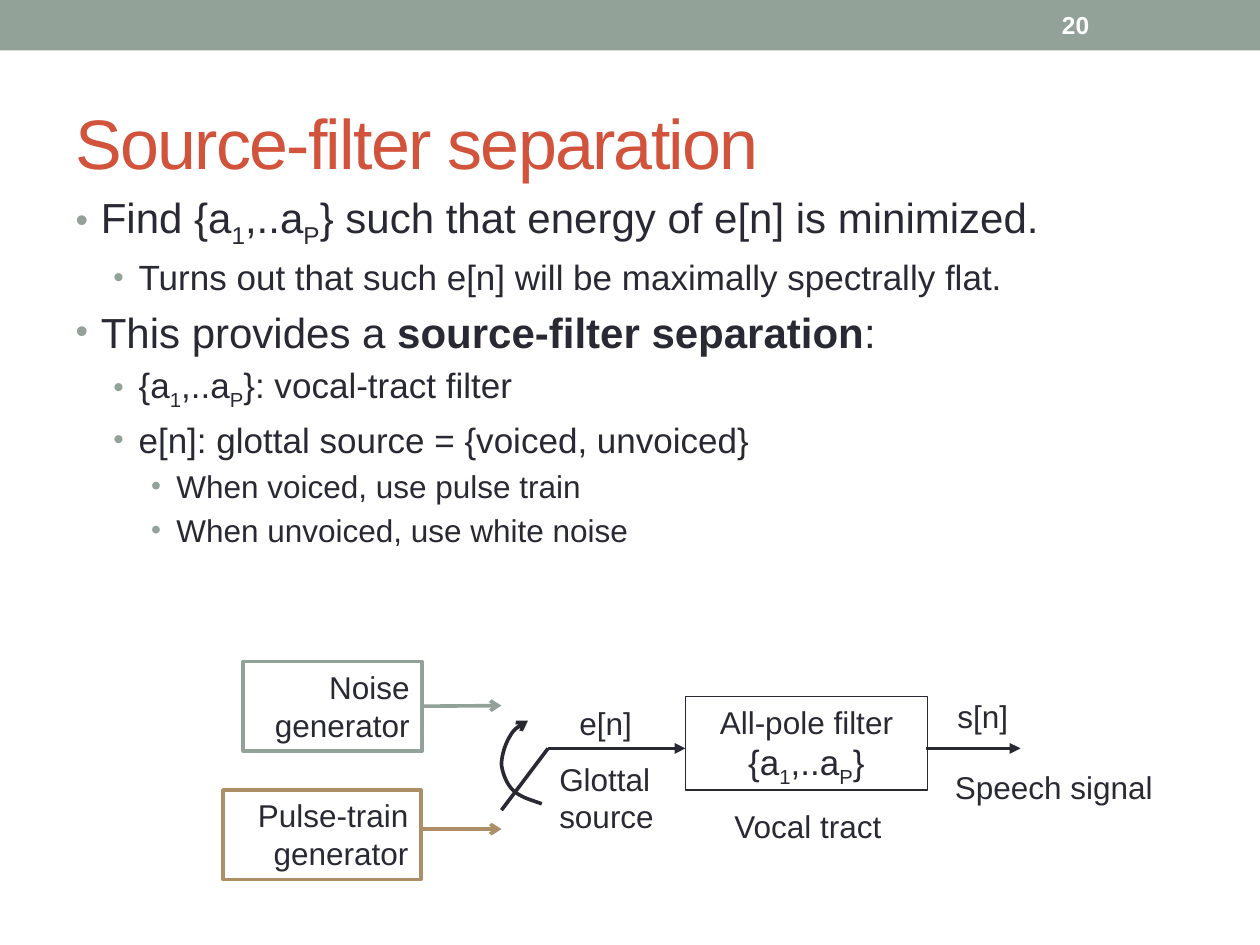
import pptx
import pptx.dml.color
import pptx.enum.shapes
import pptx.enum.text
import pptx.oxml.ns
import pptx.util
from lxml import etree

Inches = pptx.util.Inches
Pt = pptx.util.Pt
qn = pptx.oxml.ns.qn
ALIGN = pptx.enum.text.PP_ALIGN
ANCHOR = pptx.enum.text.MSO_ANCHOR
AUTO_SIZE = pptx.enum.text.MSO_AUTO_SIZE


def color(hex_string):
    return pptx.dml.color.RGBColor.from_string(hex_string)


class SlideBuilder:
    FONT = "Arial"
    INK, SAGE, TAN, RED, WHITE = "292934", "93A299", "AD8F67", "D2533C", "FFFFFF"
    LINE_WIDTH = 2.08
    # Per list level: text size, left margin, bullet size in percent
    LEVELS = [(24, 0.2, 85), (20, 0.5, 85), (18, 0.8, 90)]

    def __init__(self, slide):
        self.slide = slide

    def style(self, paragraph, size, hex_string=INK, align=ALIGN.LEFT, bold=False):
        paragraph.alignment = align
        font = paragraph.font
        font.name, font.size, font.bold = self.FONT, Pt(size), bold
        font.color.rgb = color(hex_string)

    def add_runs(self, paragraph, parts):
        """Add runs; a part is a string or a (text, "sub" or "bold") pair."""
        for part in parts:
            text, kind = (part, None) if isinstance(part, str) else part
            run = paragraph.add_run()
            run.text = text
            if kind == "sub":
                run._r.get_or_add_rPr().set("baseline", "-25000")
            elif kind == "bold":
                run.font.bold = True

    def place(self, shape, box):
        shape.left, shape.top, shape.width, shape.height = map(Inches, box)

    def title(self, text, box):
        shape = self.slide.shapes.title
        self.place(shape, box)
        frame = shape.text_frame
        frame.auto_size = AUTO_SIZE.NONE
        frame.vertical_anchor = ANCHOR.MIDDLE
        paragraph = frame.paragraphs[0]
        self.add_runs(paragraph, [text])
        self.style(paragraph, 40, self.RED)
        paragraph.runs[0]._r.get_or_add_rPr().set("spc", "-100")

    def bullets(self, items, box):
        shape = self.slide.placeholders[1]
        self.place(shape, box)
        frame = shape.text_frame
        frame.auto_size = AUTO_SIZE.NONE
        for index, (level, parts) in enumerate(items):
            paragraph = frame.paragraphs[0] if index == 0 else frame.add_paragraph()
            paragraph.level = level
            size, margin, bullet_size = self.LEVELS[level]
            properties = paragraph._p.get_or_add_pPr()
            properties.set("marL", str(Inches(margin)))
            properties.set("indent", str(Inches(-0.2)))
            bullet_color = etree.SubElement(properties, qn("a:buClr"))
            etree.SubElement(bullet_color, qn("a:srgbClr"), val=self.SAGE)
            etree.SubElement(properties, qn("a:buSzPct"), val=str(bullet_size * 1000))
            etree.SubElement(properties, qn("a:buFont"), typeface=self.FONT)
            etree.SubElement(properties, qn("a:buChar"), char="•")
            self.add_runs(paragraph, parts)
            self.style(paragraph, size)

    def label(self, text, box, size=18, hex_string=INK, bold=False, anchor=ANCHOR.TOP):
        frame = self.slide.shapes.add_textbox(*map(Inches, box)).text_frame
        frame.word_wrap = False
        frame.vertical_anchor = anchor
        frame.text = text
        for paragraph in frame.paragraphs:
            self.style(paragraph, size, hex_string, bold=bold)

    def rectangle(self, box, fill=None, line=None, width=LINE_WIDTH):
        kind = pptx.enum.shapes.MSO_SHAPE.RECTANGLE
        shape = self.slide.shapes.add_shape(kind, *map(Inches, box))
        shape.shadow.inherit = False
        if fill:
            shape.fill.solid()
            shape.fill.fore_color.rgb = color(fill)
        else:
            shape.fill.background()
        if line:
            shape.line.color.rgb = color(line)
            shape.line.width = Pt(width)
        else:
            shape.line.fill.background()
        shape.text_frame.word_wrap = True
        shape.text_frame.vertical_anchor = ANCHOR.TOP
        return shape

    def generator(self, text, box, line):
        shape = self.rectangle(box, self.WHITE, line)
        paragraph = shape.text_frame.paragraphs[0]
        self.add_runs(paragraph, [text])
        self.style(paragraph, 18, align=ALIGN.RIGHT)
        return shape

    def stroke(self, line, hex_string, head=None):
        line.color.rgb = color(hex_string)
        line.width = Pt(self.LINE_WIDTH)
        if head:
            etree.SubElement(line._get_or_add_ln(), qn("a:tailEnd"), type=head)

    def connector(self, start, end, hex_string=INK, head=None):
        kind = pptx.enum.shapes.MSO_CONNECTOR.STRAIGHT
        connector = self.slide.shapes.add_connector(kind, *map(Inches, start + end))
        self.stroke(connector.line, hex_string, head)
        etree.SubElement(connector._element.spPr, qn("a:effectLst"))
        return connector

    def curve(self, start, segments, head, steps=12):
        """Draw joined cubic curves, sampled at equal parameter steps."""
        builder = self.slide.shapes.build_freeform(*map(Inches, start))
        for segment in segments:
            controls = [start, *segment]
            points = []
            for step in range(1, steps + 1):
                t = step / steps
                weights = [(1 - t) ** 3, 3 * t * (1 - t) ** 2, 3 * t * t * (1 - t), t ** 3]
                points.append(tuple(
                    Inches(sum(w * p[axis] for w, p in zip(weights, controls)))
                    for axis in (0, 1)))
            builder.add_line_segments(points, close=False)
            start = segment[-1]
        shape = builder.convert_to_shape()
        shape.shadow.inherit = False
        shape.fill.background()
        self.stroke(shape.line, self.INK, head)


def main():
    presentation = pptx.Presentation()
    presentation.slide_width, presentation.slide_height = Inches(10), Inches(7.5)
    slide = presentation.slides.add_slide(presentation.slide_layouts[1])
    builder = SlideBuilder(slide)

    # Header bar and page number
    builder.rectangle((0, 0, 10, 0.4), fill=builder.SAGE)
    builder.label("20", (8.33, 0.02, 1.17, 0.36), 14, builder.WHITE, True, ANCHOR.MIDDLE)

    # Title and list
    coefficients = ["{a", ("1", "sub"), ",..a", ("P", "sub")]
    builder.title("Source-filter separation", (0.5, 0.58, 9, 1.08))
    builder.bullets([
        (0, ["Find ", *coefficients, "} such that energy of e[n] is minimized."]),
        (1, ["Turns out that such e[n] will be maximally spectrally flat."]),
        (0, ["This provides a ", ("source-filter separation", "bold"), ":"]),
        (1, [*coefficients, "}: vocal-tract filter"]),
        (1, ["e[n]: glottal source = {voiced, unvoiced}"]),
        (2, ["When voiced, use pulse train"]),
        (2, ["When unvoiced, use white noise"]),
    ], (0.5, 1.47, 9, 3.02))

    # Filter box
    filter_box = builder.rectangle((5.44, 5.53, 1.92, 0.74), line=builder.INK, width=0.75)
    paragraph = filter_box.text_frame.paragraphs[0]
    builder.add_runs(paragraph, ["All-pole filter"])
    paragraph.add_line_break()
    builder.add_runs(paragraph, [*coefficients, "}"])
    builder.style(paragraph, 20, align=ALIGN.CENTER)
    paragraph.runs[0].font.size = Pt(18)

    # Signal path and its labels
    signal_y = 5.94
    builder.connector((4.35, signal_y), (5.44, signal_y), head="triangle")
    builder.connector((7.35, signal_y), (8.1, signal_y), head="triangle")
    for text, box in [
        ("e[n]", (4.5, 5.54, 0.62, 0.4)),
        ("Glottal\nsource", (4.34, 5.98, 0.95, 0.7)),
        ("s[n]", (7.5, 5.48, 0.6, 0.4)),
        ("Speech signal", (7.48, 6.05, 1.77, 0.4)),
        ("Vocal tract", (5.73, 6.36, 1.38, 0.4)),
    ]:
        builder.label(text, box)

    # Generators and their outputs
    noise = builder.generator("Noise generator", (1.93, 5.25, 1.42, 0.71), builder.SAGE)
    builder.generator("Pulse-train generator", (1.77, 6.27, 1.57, 0.71), builder.TAN)
    noise_output = builder.connector((3.35, 5.6), (3.98, 5.6), builder.SAGE, "arrow")
    noise_output.begin_connect(noise, 3)
    builder.connector((3.35, 6.58), (3.98, 6.58), builder.TAN, "arrow")

    # Switch between the generators
    builder.connector((4.35, signal_y), (3.98, 6.43))
    builder.curve((4.3, 6.38), [
        [(4.22, 6.35), (4.13, 6.33), (4.07, 6.27)],
        [(4.02, 6.22), (3.99, 6.14), (3.98, 6.07)],
        [(3.98, 6), (4.01, 5.9), (4.05, 5.84)],
        [(4.08, 5.78), (4.14, 5.75), (4.19, 5.72)],
    ], "arrow")

    presentation.save("out.pptx")


if __name__ == "__main__":
    main()
